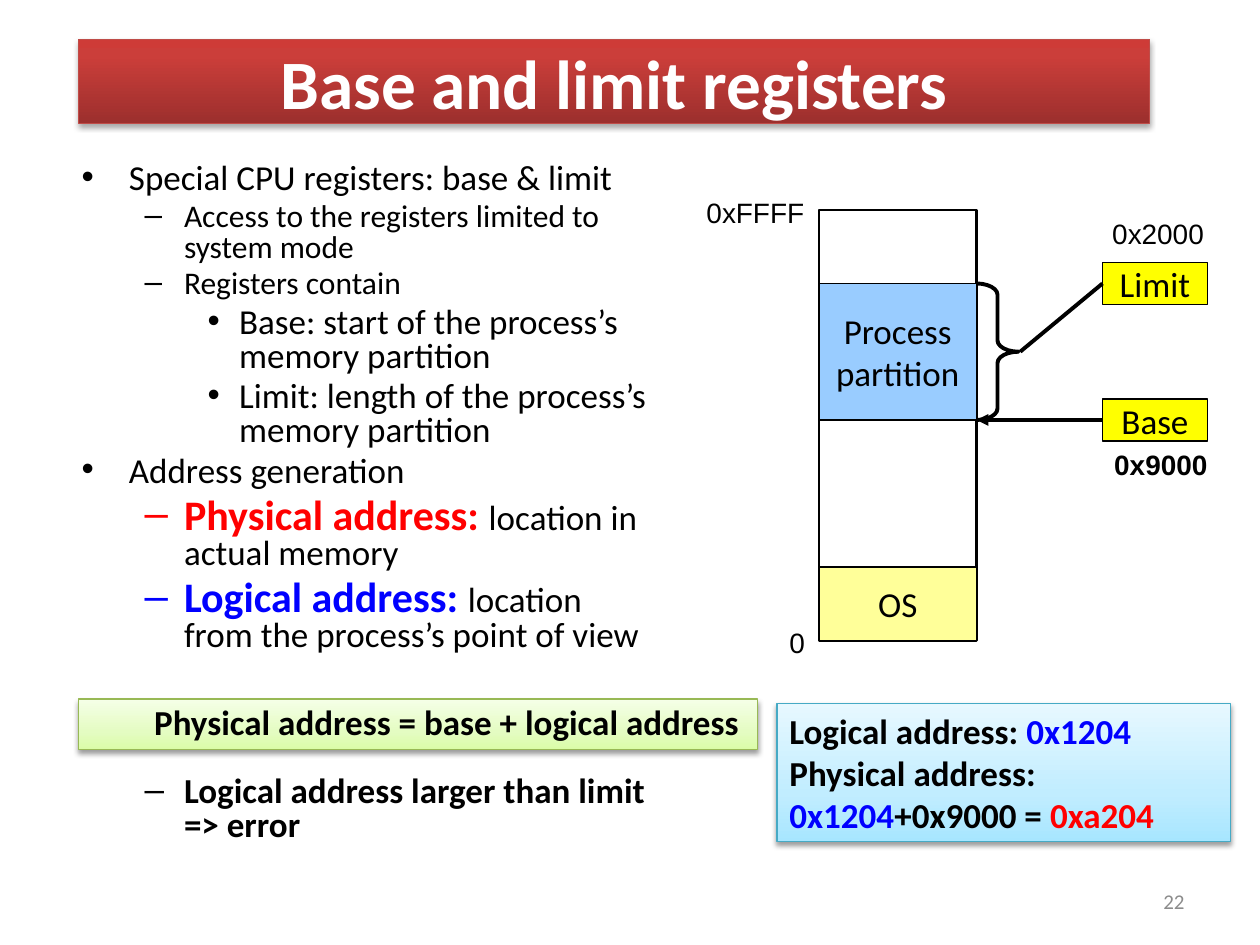
import pptx
import pptx.util
import pptx.dml.color
import pptx.enum.shapes
import pptx.enum.text
import pptx.oxml
import pptx.oxml.ns
from lxml import etree

Pt = pptx.util.Pt
RGB = pptx.dml.color.RGBColor.from_string
SHAPE = pptx.enum.shapes.MSO_SHAPE
ALIGN = pptx.enum.text.PP_ALIGN
ANCHOR = pptx.enum.text.MSO_ANCHOR
qn = pptx.oxml.ns.qn
NS = pptx.oxml.ns.nsdecls("a")

COLORS = {
    "black": "000000", "white": "FFFFFF", "red": "FF0000", "blue": "0000FF",
    "gray": "8C8C8C", "process": "99CCFF", "os": "FFFF99", "register": "FFFF00",
    "title_line": "BF4C48", "example_line": "46AAC5", "formula_line": "98B955",
}
GRADIENTS = {
    "title": [(0, "9C2F2D"), (80, "CB3E3A"), (100, "CE3B37")],
    "example": [(0, "A7E6FF"), (35, "C1EDFF"), (100, "E7F8FF")],
    "formula": [(0, "DAFDA7"), (35, "E4FCC2"), (100, "F5FFE7")],
}


def write(tf, paras, size, font="Calibri", align=ALIGN.LEFT, wrap=False):
    tf.word_wrap = wrap
    for i, runs in enumerate(paras):
        p = tf.paragraphs[0] if i == 0 else tf.add_paragraph()
        p.alignment = align
        for text, color, bold, *own_size in runs:
            r = p.add_run()
            r.text = text
            r.font.name = font
            r.font.size = Pt(own_size[0] if own_size else size)
            r.font.bold = bold
            r.font.color.rgb = RGB(COLORS[color])


def add_panel_style(sp, name, opacity):
    sp.fill.gradient()
    sp.fill.gradient_angle = 90
    stops = sp._element.spPr.find(qn("a:gradFill")).find(qn("a:gsLst"))
    stops.clear()
    for pos, color in GRADIENTS[name]:
        gs = etree.SubElement(stops, qn("a:gs"), pos=str(pos * 1000))
        etree.SubElement(gs, qn("a:srgbClr"), val=color)
    sp.line.color.rgb = RGB(COLORS[name + "_line"])
    sp.line.width = Pt(0.75)
    sp._element.spPr.append(pptx.oxml.parse_xml(
        f'<a:effectLst {NS}><a:outerShdw blurRad="39370" dist="22860" dir="5400000" rotWithShape="0">'
        f'<a:srgbClr val="000000"><a:alpha val="{opacity * 1000}"/></a:srgbClr>'
        f'</a:outerShdw></a:effectLst>'))


prs = pptx.Presentation()
prs.slide_width, prs.slide_height = Pt(720), Pt(540)
s = prs.slides.add_slide(prs.slide_layouts[5])

title = s.shapes.title
title.left, title.top, title.width, title.height = Pt(45), Pt(22.5), Pt(612), Pt(48)
add_panel_style(title, "title", 35)
title.text_frame.auto_size = pptx.enum.text.MSO_AUTO_SIZE.NONE
title.text_frame.vertical_anchor = ANCHOR.MIDDLE
write(title.text_frame, [[("Base and limit registers", "white", True)]], 39.6,
      align=ALIGN.CENTER, wrap=True)

LEVELS = [(27, -27, "•"), (58.5, -22.5, "–"), (90, -18, "•")]
BULLETS = [
    (0, 0, [("Special CPU registers: base & limit", "black", False)]),
    (1, 3.6, [("Access to the registers limited to system mode", "black", False, 18)]),
    (1, 3.6, [("Registers contain", "black", False, 18)]),
    (2, 4, [("Base: start of the process’s memory partition", "black", False)]),
    (2, 4, [("Limit: length of the process’s memory partition", "black", False)]),
    (0, 4, [("Address generation", "black", False)]),
    (1, 4.8, [("Physical address: ", "red", True, 24),
              ("location in actual memory", "black", False)]),
    (1, 4.8, [("Logical address: ", "blue", True, 24),
              ("location from the process’s point of view", "black", False)]),
    (1, 70, [("Logical address larger than limit => error", "black", True)]),
]
body = s.shapes.add_textbox(Pt(39.6), Pt(90), Pt(340), Pt(414))
write(body.text_frame, [runs for _, _, runs in BULLETS], 20, wrap=True)
for p, (level, before, _) in zip(body.text_frame.paragraphs, BULLETS):
    margin, indent, char = LEVELS[level]
    p.level = level
    pPr = p._p.get_or_add_pPr()
    pPr.set("marL", str(Pt(margin)))
    pPr.set("indent", str(Pt(indent)))
    etree.SubElement(pPr, qn("a:buFont"), typeface="Arial")
    etree.SubElement(pPr, qn("a:buChar"), char=char)
    p.line_spacing = 0.8
    p.space_before = Pt(before)

BOXES = [
    (468, 120, 90, 246, "white", 1.5, ""),
    (468, 162, 90, 78, "process", 0.75, "Process\npartition"),
    (468, 324, 90, 42, "os", 0.75, "OS"),
    (630, 150, 60, 24, "register", 0.75, "Limit"),
    (630, 228, 60, 24, "register", 0.75, "Base"),
]
for x, y, w, h, color, weight, text in BOXES:
    sp = s.shapes.add_shape(SHAPE.RECTANGLE, Pt(x), Pt(y), Pt(w), Pt(h))
    sp.shadow.inherit = False
    sp.fill.solid()
    sp.fill.fore_color.rgb = RGB(COLORS[color])
    sp.line.color.rgb = RGB(COLORS["black"])
    sp.line.width = Pt(weight)
    sp.text_frame.vertical_anchor = ANCHOR.MIDDLE
    if text:
        write(sp.text_frame, [[(line, "black", False)] for line in text.split("\n")], 20,
              align=ALIGN.CENTER)

LINES = [
    (468, 240, 558, 240, 0.75, False),
    (468, 162, 558, 162, 0.75, False),
    (630, 240, 558, 240, 2.25, True),
    (583, 201, 630, 162, 2.25, False),
]
for x1, y1, x2, y2, weight, arrow in LINES:
    line = s.shapes.add_connector(pptx.enum.shapes.MSO_CONNECTOR.STRAIGHT,
                                  Pt(x1), Pt(y1), Pt(x2), Pt(y2))
    line.line.color.rgb = RGB(COLORS["black"])
    line.line.width = Pt(weight)
    if arrow:
        etree.SubElement(line.line._get_or_add_ln(), qn("a:tailEnd"), type="triangle")
    etree.SubElement(line._element.spPr, qn("a:effectLst"))

brace = s.shapes.add_shape(SHAPE.RIGHT_BRACE, Pt(558), Pt(162), Pt(24), Pt(78))
brace.adjustments[0] = 0.27
brace.shadow.inherit = False
brace.fill.background()
brace.line.color.rgb = RGB(COLORS["black"])
brace.line.width = Pt(2.25)

LABELS = [
    (444, 354, 23, 26.6, "0", "black", False, 16, "Arial"),
    (396, 108, 70.6, 26.6, "0xFFFF", "black", False, 16, "Arial"),
    (628, 120, 67, 26.6, "0x2000", "black", False, 16, "Arial"),
    (628.5, 252, 68.5, 26.6, "0x9000", "black", True, 16, "Arial"),
    (516, 500.5, 168, 28.8, "22", "gray", False, 12, "Calibri"),
]
for x, y, w, h, text, color, bold, size, font in LABELS:
    label = s.shapes.add_textbox(Pt(x), Pt(y), Pt(w), Pt(h))
    label.text_frame.vertical_anchor = ANCHOR.MIDDLE
    write(label.text_frame, [[(text, color, bold)]], size, font, ALIGN.RIGHT, wrap=True)

PANELS = [
    ("example", 444, 402, 259, 79, True, [
        [("Logical address: ", "black", True), ("0x1204", "blue", True)],
        [("Physical address:", "black", True)],
        [("0x1204", "blue", True), ("+0x9000 =", "black", True), (" 0xa204", "red", True)],
    ]),
    ("formula", 45, 399.5, 388, 29, False, [
        [("Physical address = base + logical address", "black", True)],
    ]),
]
for name, x, y, w, h, wrap, paras in PANELS:
    panel = s.shapes.add_shape(SHAPE.RECTANGLE, Pt(x), Pt(y), Pt(w), Pt(h))
    add_panel_style(panel, name, 38)
    panel.text_frame.vertical_anchor = ANCHOR.TOP
    write(panel.text_frame, paras, 20, wrap=wrap)
formula = panel.text_frame.paragraphs[0]
formula.line_spacing = 0.9
formula._p.get_or_add_pPr().set("marL", str(Pt(36)))

prs.save("out.pptx")
